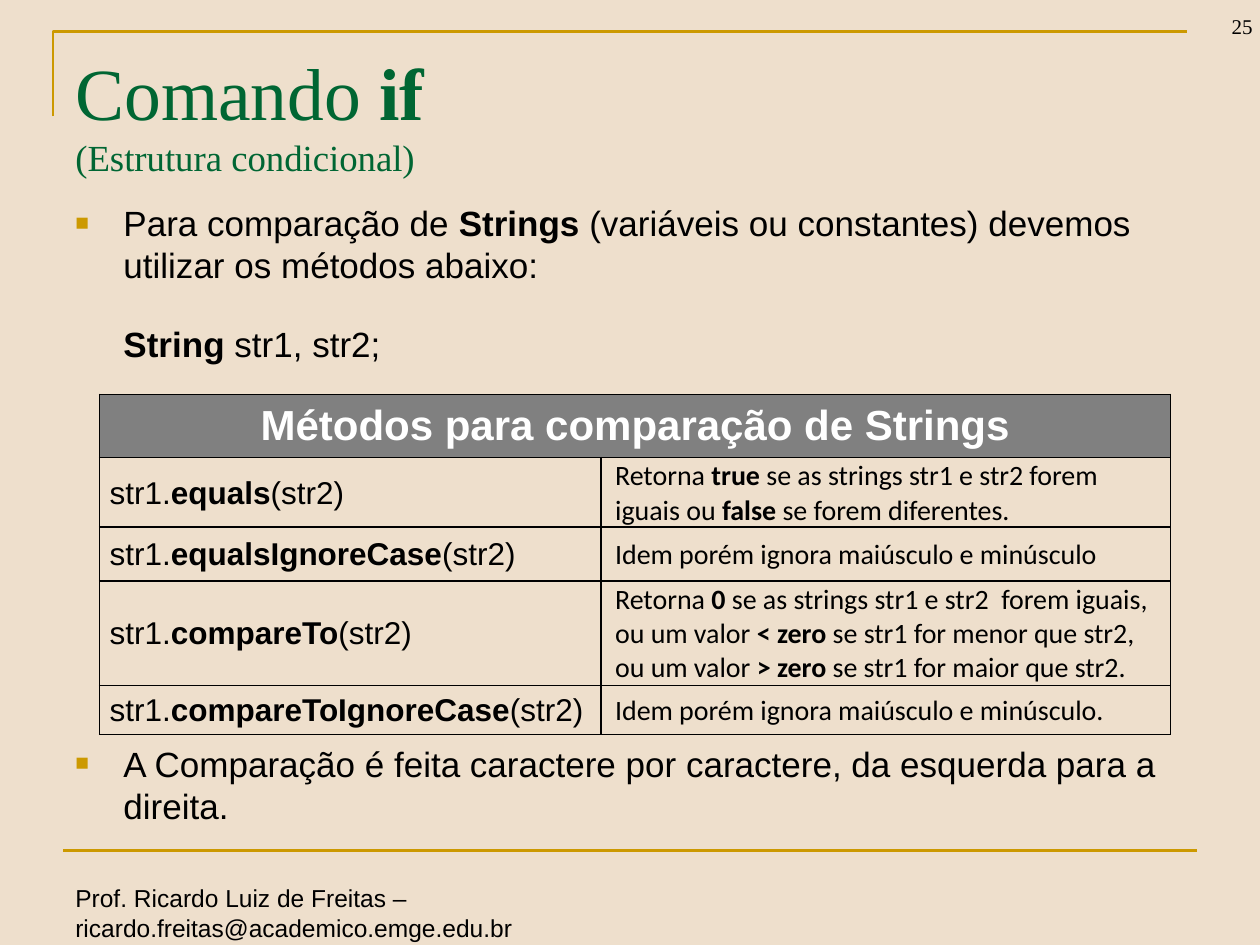
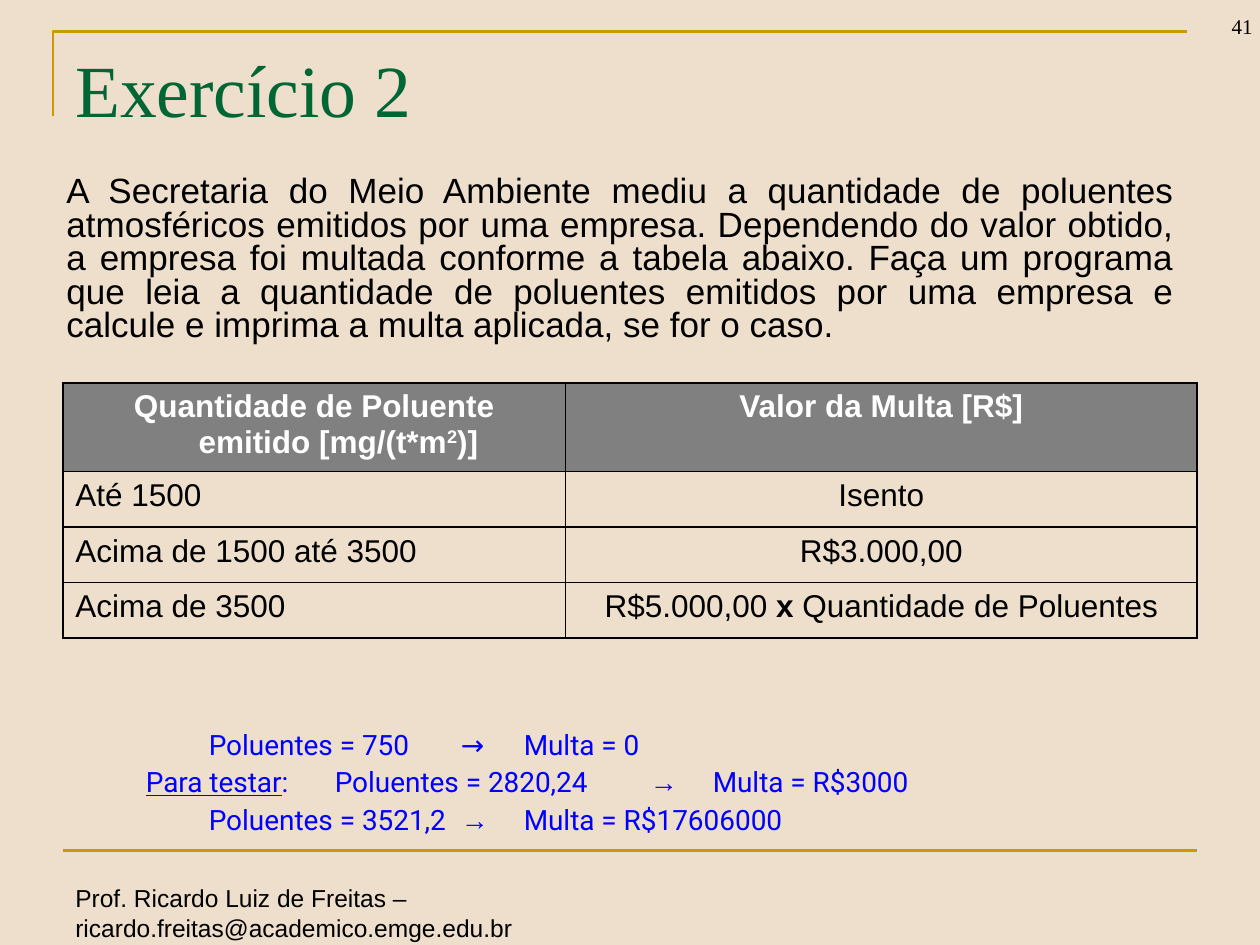
from lxml import etree
from pptx import Presentation
from pptx.dml.color import RGBColor
from pptx.enum.shapes import MSO_CONNECTOR
from pptx.enum.text import MSO_ANCHOR, PP_ALIGN
from pptx.oxml.ns import qn
from pptx.util import Cm, Pt

LEFT, CENTER, RIGHT, JUSTIFY = PP_ALIGN.LEFT, PP_ALIGN.CENTER, PP_ALIGN.RIGHT, PP_ALIGN.JUSTIFY
TOP, MIDDLE, BOTTOM = MSO_ANCHOR.TOP, MSO_ANCHOR.MIDDLE, MSO_ANCHOR.BOTTOM
STRAIGHT = MSO_CONNECTOR.STRAIGHT

SAND, GOLD, GREEN, GRAY = "EEDFCC", "CC9900", "006633", "808080"
BLACK, WHITE, BLUE = "000000", "FFFFFF", "0000FF"
BODY_FONT, TITLE_FONT, CELL_FONT, TEST_FONT = "Arial", "Times New Roman", "Calibri", "Roboto"
INSETS = (0.25, 0.13, 0.25, 0.13)
HANGING = 0.97
BOLD = {"bold": True}
FOOTER = "Prof. Ricardo Luiz de Freitas – ricardo.freitas@academico.emge.edu.br"


def rgb(value):
    return RGBColor.from_string(value)


def sub(parent, tag, **attrs):
    e = etree.SubElement(parent, qn(tag))
    for name, value in attrs.items():
        e.set(name, str(value))
    return e


def add_run(p, text, size=20, font=BODY_FONT, color=BLACK, bold=False,
            underline=False, baseline=None):
    r = p.add_run()
    r.text = text
    f = r.font
    f.size, f.name, f.bold = Pt(size), font, bold
    f.underline = underline or None
    f.color.rgb = rgb(color)
    if baseline:
        f._element.set("baseline", str(baseline))


def fill_paragraph(p, pieces, align=LEFT, indent=0, first=0, bullet=False, tabs=(),
                   before=None, spacing=None, **fmt):
    """Pieces are plain strings, (text, format overrides) pairs, or "\\v" for a line break."""
    p.alignment = align
    pPr = p._p.get_or_add_pPr()
    pPr.set("marL", str(Cm(indent)))
    pPr.set("indent", str(Cm(first)))
    if bullet:
        sub(sub(pPr, "a:buClr"), "a:srgbClr", val=GOLD)
        sub(pPr, "a:buSzPct", val=65000)
        sub(pPr, "a:buFont", typeface=BODY_FONT)
        sub(pPr, "a:buChar", char="■")
    if tabs:
        tab_list = sub(pPr, "a:tabLst")
        for pos in tabs:
            sub(tab_list, "a:tab", pos=int(Cm(pos)), algn="l")
    if before:
        p.space_before = Pt(before)
    if spacing:
        p.line_spacing = spacing
    for piece in pieces:
        if piece == "\v":
            p.add_line_break()
            continue
        text, extra = (piece, {}) if isinstance(piece, str) else piece
        add_run(p, text, **{**fmt, **extra})


class Deck:
    def __init__(self):
        self.prs = Presentation()
        self.prs.slide_width, self.prs.slide_height = Cm(25.4), Cm(19.05)
        self.s = None

    def new_slide(self, number):
        self.s = self.prs.slides.add_slide(self.prs.slide_layouts[6])
        fill = self.s.background.fill
        fill.solid()
        fill.fore_color.rgb = rgb(SAND)
        self.corner()
        self.rule(1.27, 17.15, 24.13)
        self.text(1.27, 17.68, 12, 1.35, [([FOOTER], {})], size=14)
        self.text(23.6, 0, 1.8, 0.91, [([str(number)], {})], anchor=BOTTOM,
                  insets=(0, 0.13, 0.15, 0.13), align=RIGHT, size=12, font=TITLE_FONT)

    def corner(self):
        fb = self.s.shapes.build_freeform(Cm(1.07), Cm(2.34))
        fb.add_line_segments([(Cm(1.07), Cm(0.64)), (Cm(23.93), Cm(0.64))], close=False)
        sp = fb.convert_to_shape()
        sp.shadow.inherit = False
        sp.fill.background()
        self.gold_line(sp)

    def rule(self, x1, y, x2):
        line = self.s.shapes.add_connector(STRAIGHT, Cm(x1), Cm(y), Cm(x2), Cm(y))
        self.gold_line(line)
        sub(line._element.spPr, "a:effectLst")

    def gold_line(self, sp):
        sp.line.color.rgb = rgb(GOLD)
        sp.line.width = Pt(1.5)

    def text(self, x, y, w, h, paragraphs, anchor=TOP, insets=INSETS, **fmt):
        """Paragraphs are (pieces, format overrides) pairs."""
        tf = self.s.shapes.add_textbox(Cm(x), Cm(y), Cm(w), Cm(h)).text_frame
        tf.word_wrap = True
        tf.vertical_anchor = anchor
        tf.margin_left, tf.margin_top, tf.margin_right, tf.margin_bottom = map(Cm, insets)
        for i, (pieces, extra) in enumerate(paragraphs):
            p = tf.add_paragraph() if i else tf.paragraphs[0]
            fill_paragraph(p, pieces, **{**fmt, **extra})

    def title(self, y, h, pieces, anchor=TOP):
        self.text(1.27, y, 22.86, h, [(pieces, {})], anchor=anchor,
                  size=42, font=TITLE_FONT, color=GREEN)

    def table(self, x, y, widths, heights):
        shape = self.s.shapes.add_table(len(heights), len(widths), Cm(x), Cm(y),
                                        Cm(sum(widths)), Cm(sum(heights)))
        tbl = shape.table
        tbl.first_row = tbl.horz_banding = False
        for col, w in zip(tbl.columns, widths):
            col.width = Cm(w)
        for row, h in zip(tbl.rows, heights):
            row.height = Cm(h)
        for cell in tbl.iter_cells():
            tcPr = cell._tc.get_or_add_tcPr()
            for side in "LRTB":
                ln = sub(tcPr, f"a:ln{side}", w=Pt(1))
                sub(sub(ln, "a:solidFill"), "a:srgbClr", val=BLACK)
        return tbl

    def cell(self, cell, pieces, fill=None, anchor=TOP, insets=INSETS, **fmt):
        if fill:
            cell.fill.solid()
            cell.fill.fore_color.rgb = rgb(fill)
        else:
            cell.fill.background()
        cell.vertical_anchor = anchor
        cell.margin_left, cell.margin_top, cell.margin_right, cell.margin_bottom = map(Cm, insets)
        fill_paragraph(cell.text_frame.paragraphs[0], pieces, **fmt)


def string_comparison(deck):
    deck.new_slide(25)
    deck.title(1.17, 2.57, ["Comando ", ("if", BOLD), "\v",
                            ("(Estrutura condicional)", {"size": 21})], anchor=BOTTOM)
    bullet = {"indent": HANGING, "first": -HANGING, "bullet": True}
    deck.text(1.27, 3.94, 22.86, 3.4, [
        (["Para comparação de ", ("Strings", BOLD),
          " (variáveis ou constantes) devemos utilizar os métodos abaixo:"], bullet),
        ([("String", BOLD), " str1, str2;"], {"indent": HANGING, "before": 21}),
    ])

    methods = [
        ("equals", ["Retorna ", ("true", BOLD), " se as strings str1 e str2 forem iguais ou ",
                    ("false", BOLD), " se forem diferentes."]),
        ("equalsIgnoreCase", ["Idem porém ignora maiúsculo e minúsculo"]),
        ("compareTo", ["Retorna ", ("0", BOLD),
                       " se as strings str1 e str2  forem iguais, ou um valor ",
                       ("< zero ", BOLD), "se str1 for menor que str2, ou um valor ",
                       ("> zero", BOLD), " se str1 for maior que str2."]),
        ("compareToIgnoreCase", ["Idem porém ignora maiúsculo e minúsculo."]),
    ]
    tbl = deck.table(2.01, 7.95, [10.11, 11.48], [1.21, 1.4, 1.09, 2.1, 0.99])
    tbl.cell(0, 0).merge(tbl.cell(0, 1))
    deck.cell(tbl.cell(0, 0), ["Métodos para comparação de Strings"], fill=GRAY,
              anchor=MIDDLE, align=CENTER, size=24, color=WHITE, bold=True)
    for row, (name, result) in enumerate(methods, 1):
        deck.cell(tbl.cell(row, 0), ["str1.", (name, BOLD), "(str2)"], anchor=MIDDLE,
                  insets=(0.2, 0.03, 0.03, 0), size=18)
        deck.cell(tbl.cell(row, 1), result, anchor=MIDDLE,
                  insets=(0.28, 0.03, 0.03, 0), size=16, font=CELL_FONT)

    deck.text(1.27, 14.83, 22.86, 2.1, [
        (["A Comparação é feita caractere por caractere, da esquerda para a direita."], bullet)])


def pollution_exercise(deck):
    deck.new_slide(41)
    deck.title(0.76, 3.18, ["Exercício 2"])
    deck.text(1.09, 3.43, 22.83, 3.89, [([
        "A Secretaria do Meio Ambiente mediu a quantidade de poluentes atmosféricos emitidos "
        "por uma empresa. Dependendo do valor obtido, a empresa foi multada conforme a tabela "
        "abaixo. Faça um programa que leia a quantidade de poluentes emitidos por uma empresa "
        "e calcule e imprima a multa aplicada, se for o caso."], {})],
        align=JUSTIFY, spacing=0.8)

    fines = [
        (["Quantidade de Poluente emitido [mg/(t*m", ("2", {"baseline": 30000}), ")]"],
         ["Valor da Multa [R$]"]),
        (["Até 1500"], ["Isento"]),
        (["Acima de 1500 até 3500"], ["R$3.000,00"]),
        (["Acima de 3500"], ["R$5.000,00 ", ("x", BOLD), " Quantidade de Poluentes"]),
    ]
    tbl = deck.table(1.27, 7.72, [10.13, 12.73], [1.78] + [1.12] * 3)
    for row, pair in enumerate(fines):
        head = row == 0
        for col, pieces in enumerate(pair):
            deck.cell(tbl.cell(row, col), pieces, fill=GRAY if head else None,
                      align=CENTER if head or col else LEFT, indent=HANGING, first=-HANGING,
                      size=18, color=WHITE if head else BLACK, bold=head)

    label = [("Para testar", {"underline": True}), ":"]
    tests = [
        ([], "750", "0", 12.7, TEST_FONT),
        (label, "2820,24", "R$3000", 12.7, BODY_FONT),
        ([], "3521,2", "R$17606000", 10.16, BODY_FONT),
    ]
    deck.text(2.69, 14.45, 20.02, 2.46, [
        (lead + [f"\tPoluentes = {amount}\t", ("→", {"font": arrow_font}), f"\tMulta = {fine}"],
         {"tabs": (5.08, arrow_at, arrow_at + 0.8)})
        for lead, amount, fine, arrow_at, arrow_font in tests],
        spacing=Pt(21.5), size=16, font=TEST_FONT, color=BLUE)


def main():
    deck = Deck()
    string_comparison(deck)
    pollution_exercise(deck)
    deck.prs.save("out.pptx")


if __name__ == "__main__":
    main()
